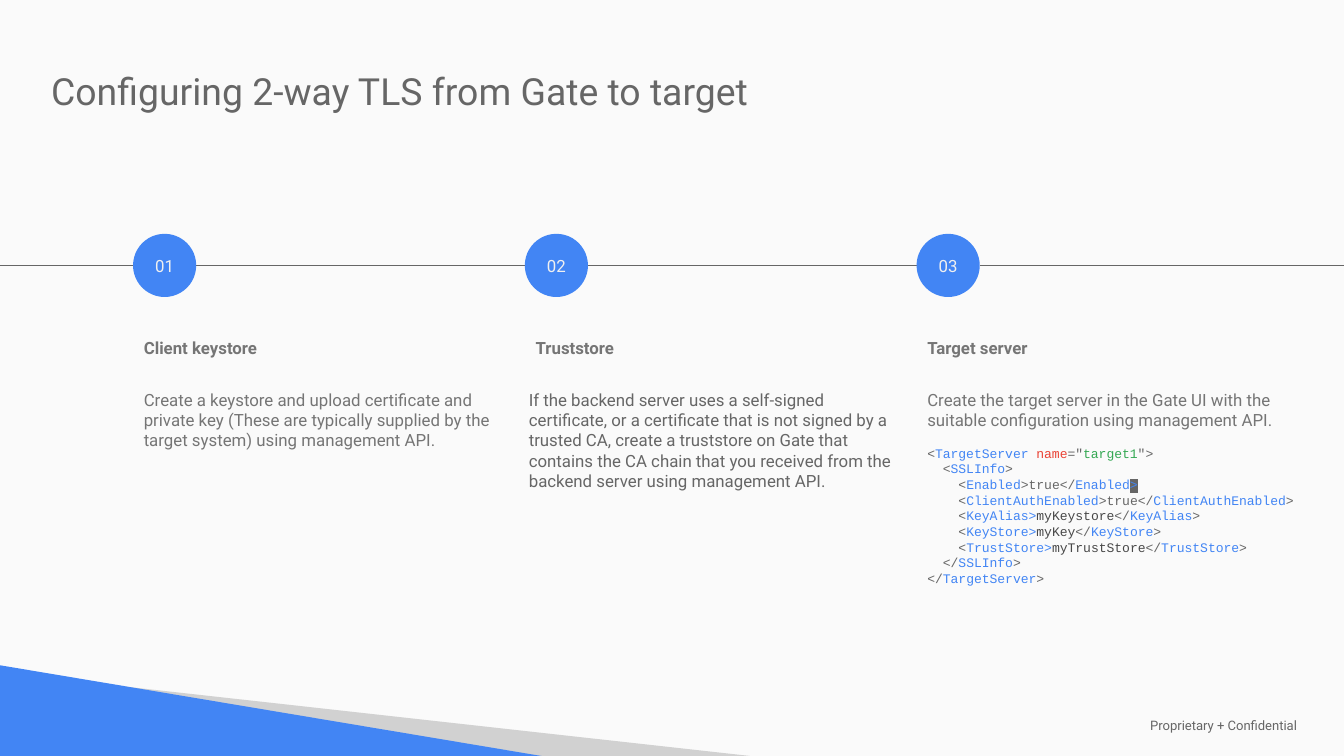
from lxml.etree import SubElement
from pptx import Presentation
from pptx.dml.color import RGBColor
from pptx.enum.shapes import MSO_CONNECTOR as Connector, MSO_SHAPE as Shape
from pptx.enum.text import MSO_ANCHOR as Anchor, MSO_AUTO_SIZE as AutoSize, PP_ALIGN as Align
from pptx.oxml.ns import qn
from pptx.util import Inches, Pt

BLUE = RGBColor(0x42, 0x85, 0xF4)
RED = RGBColor(0xEA, 0x43, 0x35)
GREEN = RGBColor(0x34, 0xA8, 0x53)
GREY = RGBColor(0x66, 0x66, 0x66)
SOFT = RGBColor(0x75, 0x75, 0x75)
DARK = RGBColor(0x48, 0x48, 0x48)
SILVER = RGBColor(0xD1, 0xD1, 0xD1)
PALE = RGBColor(0xF0, 0xF0, 0xF0)
PAPER = RGBColor(0xFA, 0xFA, 0xFA)

TITLE = "Configuring 2-way TLS from Gate to target"
FOOTER = "Proprietary + Confidential"
STEPS = [
    {"head": "Client keystore", "colour": SOFT, "height": 0.47,
     "body": "Create a keystore and upload certificate and private key (These are typically "
             "supplied by the target system) using management API."},
    {"head": "Truststore", "colour": GREY, "height": 0.67, "nudge": -0.05,
     "body": "If the backend server uses a self-signed certificate, or a certificate that is not "
             "signed by a trusted CA, create a truststore on Gate that contains the CA chain that "
             "you received from the backend server using management API."},
    {"head": "Target server", "colour": SOFT, "height": 1.52,
     "body": "Create the target server in the Gate UI with the suitable configuration using "
             "management API."},
]
CODE = [
    [("<", GREY), ("TargetServer ", BLUE), ("name", RED), ('="', GREY), ("target1", GREEN), ('">', GREY)],
    [("  <", GREY), ("SSLInfo", BLUE), (">", GREY)],
    [("    <", GREY), ("Enabled", BLUE), (">true</", GREY), ("Enabled", BLUE), (">", BLUE, GREY)],
    [("    <", GREY), ("ClientAuthEnabled", BLUE), (">true</", GREY), ("ClientAuthEnabled", BLUE), (">", GREY)],
    [("    <", GREY), ("KeyAlias>", BLUE), ("myKeystore", DARK), ("</", GREY), ("KeyAlias", BLUE), (">", GREY)],
    [("    <", GREY), ("KeyStore>", BLUE), ("myKey", DARK), ("</", GREY), ("KeyStore", BLUE), (">", GREY)],
    [("    <", GREY), ("TrustStore>", BLUE), ("myTrustStore", DARK), ("</", GREY), ("TrustStore", BLUE), (">", GREY)],
    [("  </", GREY), ("SSLInfo", BLUE), (">", GREY)],
    [("</", GREY), ("TargetServer", BLUE), (">", GREY)],
]
WIDTH, HEIGHT = 10, 5.625
WEDGES = [
    (SILVER, [(0.85, 5.1), (5.58, HEIGHT), (4.01, HEIGHT)]),
    (BLUE, [(0, 4.95), (0, HEIGHT), (4.03, HEIGHT)]),
]
FIRST, PITCH, CIRCLE, AXIS = 0.99, 2.915, 0.47, 1.975
HEAD_TOP, BODY_TOP, BODY_WIDTH = 2.43, 2.82, 2.93


def apply(target, values):
    """Set each attribute of the target from a dict."""
    for name, value in values.items():
        setattr(target, name, value)


def write(para, text, colour, size, font="Roboto", bold=False, mark=None):
    """Add one formatted run, with an optional highlight."""
    span = para.add_run()
    span.text = text
    apply(span.font, {"size": Pt(size), "name": font, "bold": bold})
    span.font.color.rgb = colour
    if mark is not None:
        props = span.font._element
        highlight = SubElement(props, qn("a:highlight"))
        SubElement(highlight, qn("a:srgbClr"), val=str(mark))
        props.find(qn("a:solidFill")).addnext(highlight)


def set_frame(shape, inset=0.08, anchor=Anchor.TOP):
    """Format a text frame and return its first paragraph."""
    margins = {f"margin_{side}": Inches(inset) for side in ("left", "top", "right", "bottom")}
    apply(shape.text_frame, {"word_wrap": True, "auto_size": AutoSize.NONE,
                             "vertical_anchor": anchor, **margins})
    return shape.text_frame.paragraphs[0]


def add_box(page, left, top, width, height, **frame):
    """Add a text box and return its first paragraph."""
    box = page.shapes.add_textbox(*map(Inches, (left, top, width, height)))
    return set_frame(box, **frame)


def paint(shape, colour):
    """Give a shape a plain fill without line or shadow."""
    shape.shadow.inherit = False
    shape.fill.solid()
    shape.fill.fore_color.rgb = colour
    shape.line.fill.background()


def add_title(page):
    """Place and format the title placeholder."""
    title = page.shapes.title
    apply(title, {"left": Inches(0.3), "top": Inches(0.43), "width": Inches(6.04), "height": Inches(0.62)})
    para = set_frame(title)
    apply(para, {"alignment": Align.LEFT, "space_after": Pt(6)})
    write(para, TITLE, GREY, 20)


def add_wedges(page):
    """Draw the corner triangles."""
    for colour, (start, *rest) in WEDGES:
        builder = page.shapes.build_freeform(Inches(start[0]), Inches(start[1]))
        builder.add_line_segments([(Inches(x), Inches(y)) for x, y in rest], close=True)
        paint(builder.convert_to_shape(), colour)


def add_axis(page):
    """Draw the line pieces between the circles."""
    lefts = [FIRST + PITCH * i for i in range(len(STEPS))]
    starts = [0] + [left + CIRCLE for left in lefts]
    for start, end in zip(starts, lefts + [WIDTH]):
        line = page.shapes.add_connector(Connector.STRAIGHT, *map(Inches, (start, AXIS, end, AXIS)))
        line.line.color.rgb = GREY
        line.line.width = Pt(0.75)
        SubElement(line._element.spPr, qn("a:effectLst"))


def add_step(page, index, step):
    """Add the numbered circle, heading and text of one step."""
    left = FIRST + PITCH * index
    circle = page.shapes.add_shape(
        Shape.OVAL, *map(Inches, (left, AXIS - CIRCLE / 2, CIRCLE, CIRCLE)))
    paint(circle, BLUE)
    para = set_frame(circle, inset=0, anchor=Anchor.MIDDLE)
    para.alignment = Align.CENTER
    write(para, f"{index + 1:02d}", PALE, 9)
    write(add_box(page, left, HEAD_TOP, 1.19, 0.32), step["head"], SOFT, 9, bold=True)
    para = add_box(page, left + step.get("nudge", 0), BODY_TOP, BODY_WIDTH, step["height"])
    write(para, step["body"], step["colour"], 9)
    return page.shapes[-1].text_frame


def add_code(frame):
    """Append the code lines below the step text."""
    for number, line in enumerate(CODE):
        para = frame.add_paragraph()
        para.space_before = Pt(0 if number else 8)
        for text, colour, *mark in line:
            write(para, text, colour, 7, "Courier New", mark=mark[0] if mark else None)


def main():
    """Build the slide and save it."""
    deck = Presentation()
    apply(deck, {"slide_width": Inches(WIDTH), "slide_height": Inches(HEIGHT)})
    page = deck.slides.add_slide(deck.slide_layouts[5])
    page.background.fill.solid()
    page.background.fill.fore_color.rgb = PAPER
    add_wedges(page)
    write(add_box(page, 8.46, 5.33, 1.49, 0.14, inset=0.1, anchor=Anchor.MIDDLE), FOOTER, GREY, 7)
    add_title(page)
    add_axis(page)
    frames = [add_step(page, index, step) for index, step in enumerate(STEPS)]
    add_code(frames[-1])
    deck.save("out.pptx")


if __name__ == "__main__":
    main()
